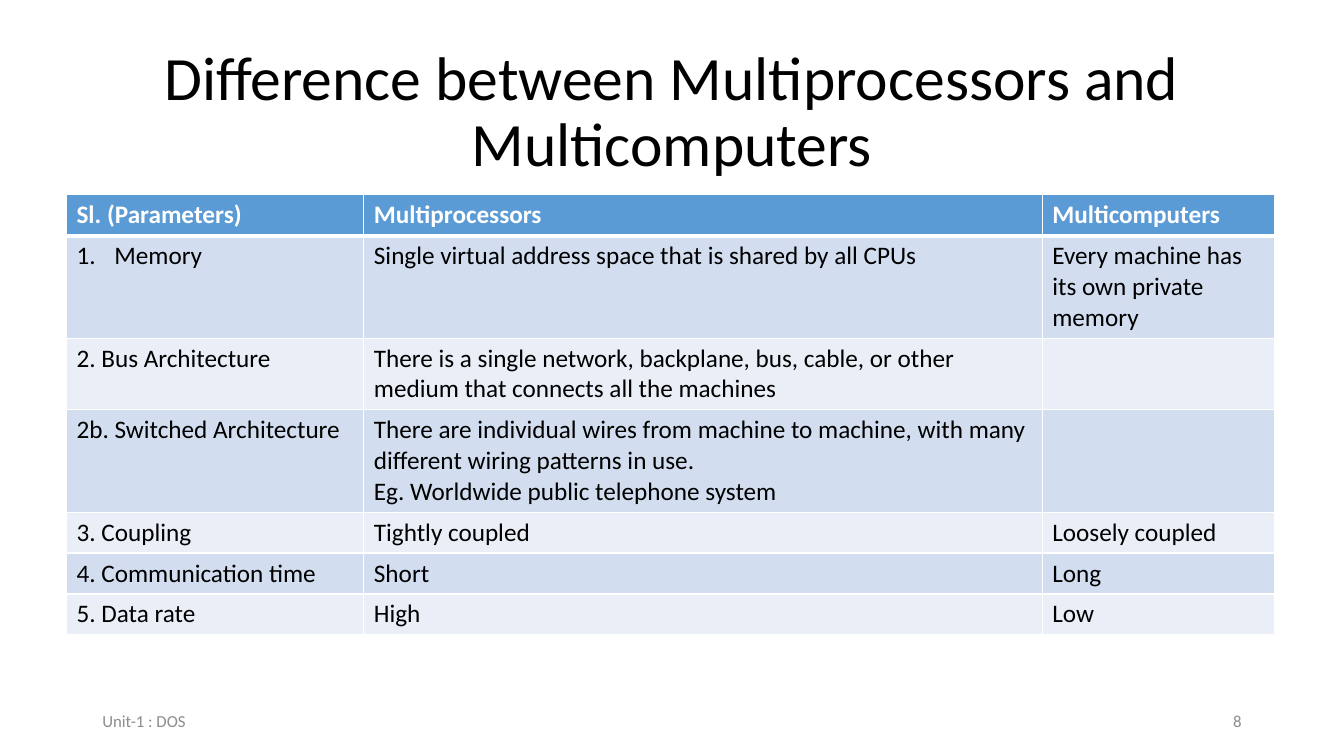
from dataclasses import dataclass

from lxml import etree
from pptx import Presentation
from pptx.dml.color import RGBColor
from pptx.enum.text import MSO_ANCHOR, PP_ALIGN
from pptx.oxml.ns import qn
from pptx.util import Pt

LEFT, CENTER, RIGHT = PP_ALIGN.LEFT, PP_ALIGN.CENTER, PP_ALIGN.RIGHT
MIDDLE = MSO_ANCHOR.MIDDLE

TITLE = "Difference between Multiprocessors and Multicomputers"
HEADER = ("Sl. (Parameters)", "Multiprocessors", "Multicomputers")
ROWS = [
    ("Memory", "Single virtual address space that is shared by all CPUs",
     "Every machine has its own private memory"),
    ("2. Bus Architecture",
     "There is a single network, backplane, bus, cable, or other medium "
     "that connects all the machines", ""),
    ("2b. Switched Architecture",
     "There are individual wires from machine to machine, with many "
     "different wiring patterns in use.\nEg. Worldwide public telephone system", ""),
    ("3. Coupling", "Tightly coupled", "Loosely coupled"),
    ("4. Communication time", "Short", "Long"),
    ("5. Data rate", "High", "Low"),
]
NUMBERED_CELL = (1, 0)
FOOTERS = [("Unit-1 : DOS", 66, LEFT), ("8", 678, RIGHT)]

TITLE_BOX = (66, 28.75, 828, 104.4)
TABLE_POS = (47.5, 139.2)
COL_WIDTHS = (212.4, 484.6, 166.3)
ROW_HEIGHT = 29.2
FOOTER_TOP, FOOTER_WIDTH, FOOTER_HEIGHT = 500.5, 216, 28.75
NUMBER_INDENT = 27


@dataclass(frozen=True)
class Theme:
    font: str = "Calibri"
    ink: str = "000000"
    white: str = "FFFFFF"
    grey: str = "8C8C8C"
    header: str = "5B9BD5"
    bands: tuple = ("D2DEEF", "EAEFF7")
    title_size: int = 44
    body_size: int = 18
    footer_size: int = 12
    border: int = 1
    header_rule: int = 3


THEME = Theme()


def add_run(p, text, size, color, bold=False):
    r = p.add_run()
    r.text = text
    r.font.name = THEME.font
    r.font.size = Pt(size)
    r.font.bold = bold
    r.font.color.rgb = RGBColor.from_string(color)


def set_borders(cell, bottom):
    tc_pr = cell._tc.get_or_add_tcPr()
    for side in "LRTB":
        width = bottom if side == "B" else THEME.border
        ln = etree.SubElement(tc_pr, qn(f"a:ln{side}"), w=str(Pt(width)))
        fill = etree.SubElement(ln, qn("a:solidFill"))
        etree.SubElement(fill, qn("a:srgbClr"), val=THEME.white)


def number_paragraph(p):
    p_pr = p._p.get_or_add_pPr()
    p_pr.set("marL", str(Pt(NUMBER_INDENT)))
    p_pr.set("indent", str(-Pt(NUMBER_INDENT)))
    etree.SubElement(p_pr, qn("a:buAutoNum"), type="arabicPeriod")


def add_title(s):
    sp = s.shapes.title
    sp.left, sp.top, sp.width, sp.height = map(Pt, TITLE_BOX)
    tf = sp.text_frame
    tf.word_wrap = True
    tf.vertical_anchor = MIDDLE
    p = tf.paragraphs[0]
    p.alignment = CENTER
    p.line_spacing = 0.9
    add_run(p, TITLE, THEME.title_size, THEME.ink)


def add_comparison(s):
    rows = [HEADER, *ROWS]
    size = (sum(COL_WIDTHS), ROW_HEIGHT * len(rows))
    table = s.shapes.add_table(len(rows), len(HEADER),
                               *map(Pt, TABLE_POS + size)).table
    for column, width in zip(table.columns, COL_WIDTHS):
        column.width = Pt(width)
    for i, row in enumerate(rows):
        table.rows[i].height = Pt(ROW_HEIGHT)
        is_header = i == 0
        fill = THEME.header if is_header else THEME.bands[(i - 1) % 2]
        color = THEME.white if is_header else THEME.ink
        for j, text in enumerate(row):
            cell = table.cell(i, j)
            set_borders(cell, THEME.header_rule if is_header else THEME.border)
            cell.fill.solid()
            cell.fill.fore_color.rgb = RGBColor.from_string(fill)
            tf = cell.text_frame
            for k, line in enumerate(text.splitlines()):
                p = tf.add_paragraph() if k else tf.paragraphs[0]
                if (i, j) == NUMBERED_CELL:
                    number_paragraph(p)
                add_run(p, line, THEME.body_size, color, is_header)


def add_footer(s, text, left, align):
    box = (left, FOOTER_TOP, FOOTER_WIDTH, FOOTER_HEIGHT)
    tf = s.shapes.add_textbox(*map(Pt, box)).text_frame
    tf.word_wrap = True
    tf.vertical_anchor = MIDDLE
    p = tf.paragraphs[0]
    p.alignment = align
    add_run(p, text, THEME.footer_size, THEME.grey)


def main():
    prs = Presentation()
    prs.slide_width, prs.slide_height = Pt(960), Pt(540)
    s = prs.slides.add_slide(prs.slide_layouts[5])
    add_title(s)
    add_comparison(s)
    for footer in FOOTERS:
        add_footer(s, *footer)
    prs.save("out.pptx")


if __name__ == "__main__":
    main()
